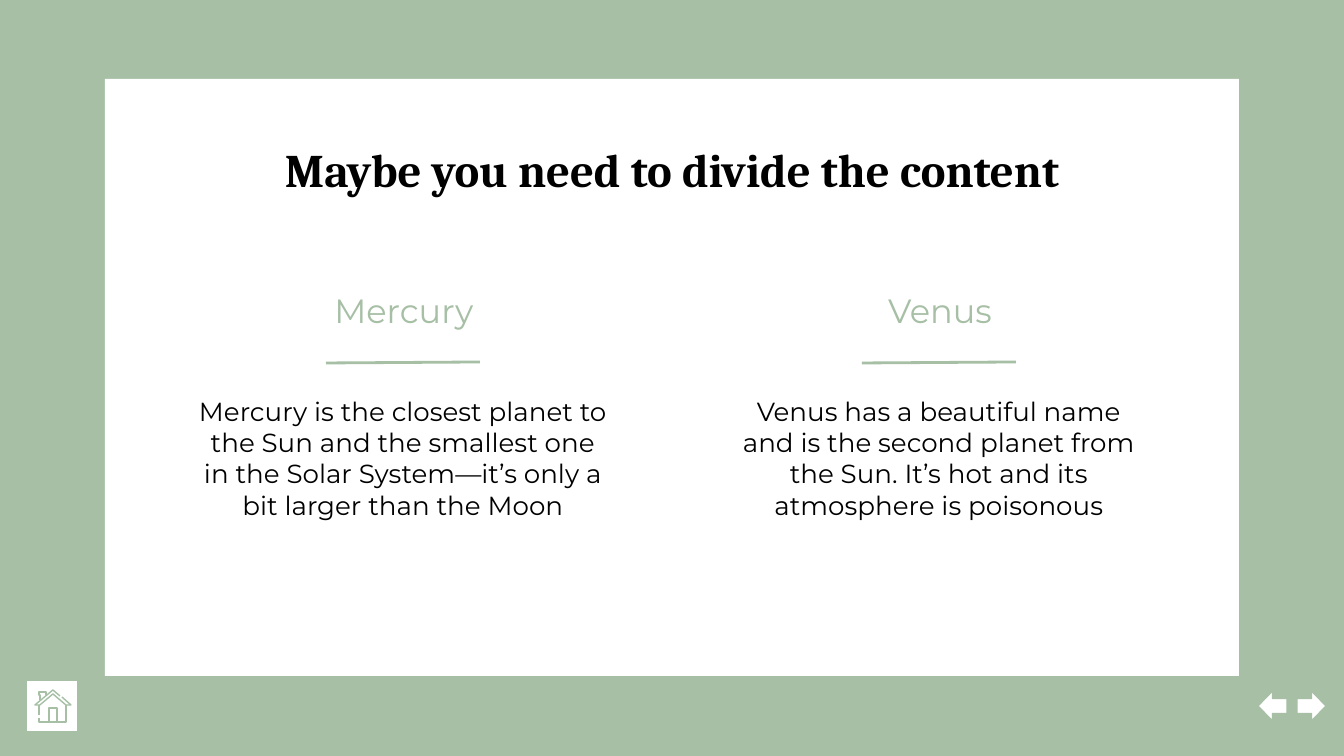
from pptx import Presentation
from pptx.dml.color import RGBColor
from pptx.enum.shapes import MSO_CONNECTOR, MSO_SHAPE
from pptx.enum.text import MSO_ANCHOR, PP_ALIGN
from pptx.oxml.ns import qn
from pptx.util import Pt
from lxml.etree import SubElement

EMU_PER_PX = 914400 / 134.4
COLORS = {"sage": "A6BFA5", "white": "FFFFFF", "black": "000000"}


def px(length):
    return round(length * EMU_PER_PX)


def color(name):
    return RGBColor.from_string(COLORS[name])


def write(frame, text, size, font="Montserrat", ink="black", bold=False):
    paragraph = frame.paragraphs[0]
    paragraph.alignment = PP_ALIGN.CENTER
    run = paragraph.add_run()
    run.text = text
    run.font.size = Pt(size)
    run.font.name = font
    run.font.bold = bold
    run.font.color.rgb = color(ink)


class SlideStyle:
    inset = 13
    thin = 0.75
    rule_width = 1.5

    def __init__(self, slide):
        self.slide = slide
        self.shapes = slide.shapes

    def background(self, fill):
        self.slide.background.fill.solid()
        self.slide.background.fill.fore_color.rgb = color(fill)

    def shape(self, kind, left, top, width, height, outline=None, rotation=0):
        shape = self.shapes.add_shape(kind, px(left), px(top), px(width), px(height))
        shape.shadow.inherit = False
        shape.rotation = rotation
        shape.fill.solid()
        shape.fill.fore_color.rgb = color("white")
        if outline:
            shape.line.color.rgb = color(outline)
            shape.line.width = Pt(self.thin)
        else:
            shape.line.fill.background()

    def text(self, text, left, top, width, height, anchor=MSO_ANCHOR.TOP, **text_format):
        frame = self.shapes.add_textbox(px(left), px(top), px(width), px(height)).text_frame
        frame.word_wrap = True
        frame.vertical_anchor = anchor
        frame.margin_left = frame.margin_right = px(self.inset)
        frame.margin_top = frame.margin_bottom = px(self.inset)
        write(frame, text, **text_format)

    def rule(self, x1, y1, x2, y2):
        rule = self.shapes.add_connector(MSO_CONNECTOR.STRAIGHT, px(x1), px(y1), px(x2), px(y2))
        rule.line.color.rgb = color("sage")
        rule.line.width = Pt(self.rule_width)
        SubElement(rule._element.spPr, qn("a:effectLst"))

    def stroke(self, points):
        builder = self.shapes.build_freeform(*points[0], scale=EMU_PER_PX)
        builder.add_line_segments(points[1:], close=False)
        stroke = builder.convert_to_shape()
        stroke.shadow.inherit = False
        stroke.fill.background()
        stroke.line.color.rgb = color("sage")
        stroke.line.width = Pt(self.thin)


PLANETS = [
    ("Mercury", "Mercury is the closest planet to the Sun and the smallest one "
                "in the Solar System—it’s only a bit larger than the Moon"),
    ("Venus", "Venus has a beautiful name and is the second planet from "
              "the Sun. It’s hot and its atmosphere is poisonous"),
]
COLUMN_LEFT, COLUMN_STEP, COLUMN_WIDTH = 182, 536, 442

HOUSE = {
    "roof": [(62, 697), (71, 705), (66, 705), (53, 694), (40, 705), (35, 705), (53, 690), (60, 696)],
    "chimney": [(40, 700), (40, 695), (39, 695), (39, 692), (46, 692), (46, 695)],
    "left wall": [(39, 705), (39, 715)],
    "walls": [(39, 718), (39, 722), (66, 722), (66, 705)],
    "door": [(49, 722), (49, 708), (57, 708), (57, 722)],
}


def main():
    deck = Presentation()
    deck.slide_width, deck.slide_height = px(1344), px(756)
    page = SlideStyle(deck.slides.add_slide(deck.slide_layouts[6]))

    page.background("sage")
    page.shape(MSO_SHAPE.RECTANGLE, 105, 79, 1134, 597)
    page.text("Maybe you need to divide the content", 105, 128, 1134, 80,
              size=25, font="Cambria", bold=True)

    for column, (planet, description) in enumerate(PLANETS):
        left = COLUMN_LEFT + column * COLUMN_STEP
        page.text(planet, left + 1, 278, COLUMN_WIDTH, 65,
                  anchor=MSO_ANCHOR.BOTTOM, size=18, ink="sage")
        page.text(description, left, 382, COLUMN_WIDTH, 181, size=14)
        page.rule(left + 144, 363, left + 298, 362)

    for left, rotation in ((1258, 0), (1297, 180)):
        page.shape(MSO_SHAPE.LEFT_ARROW, left, 691, 29, 30, outline="sage", rotation=rotation)

    page.shape(MSO_SHAPE.RECTANGLE, 26, 680, 52, 52, outline="sage")
    for points in HOUSE.values():
        page.stroke(points)

    deck.save("out.pptx")


if __name__ == "__main__":
    main()
